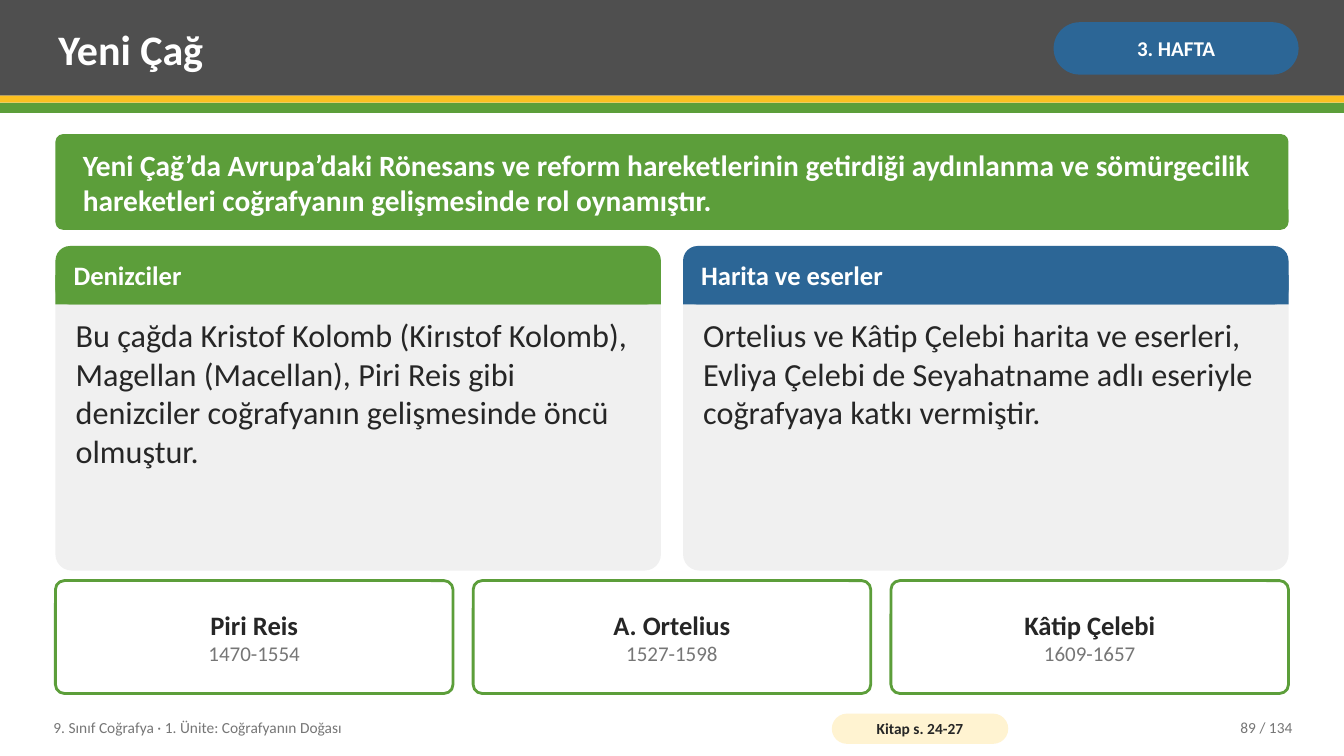
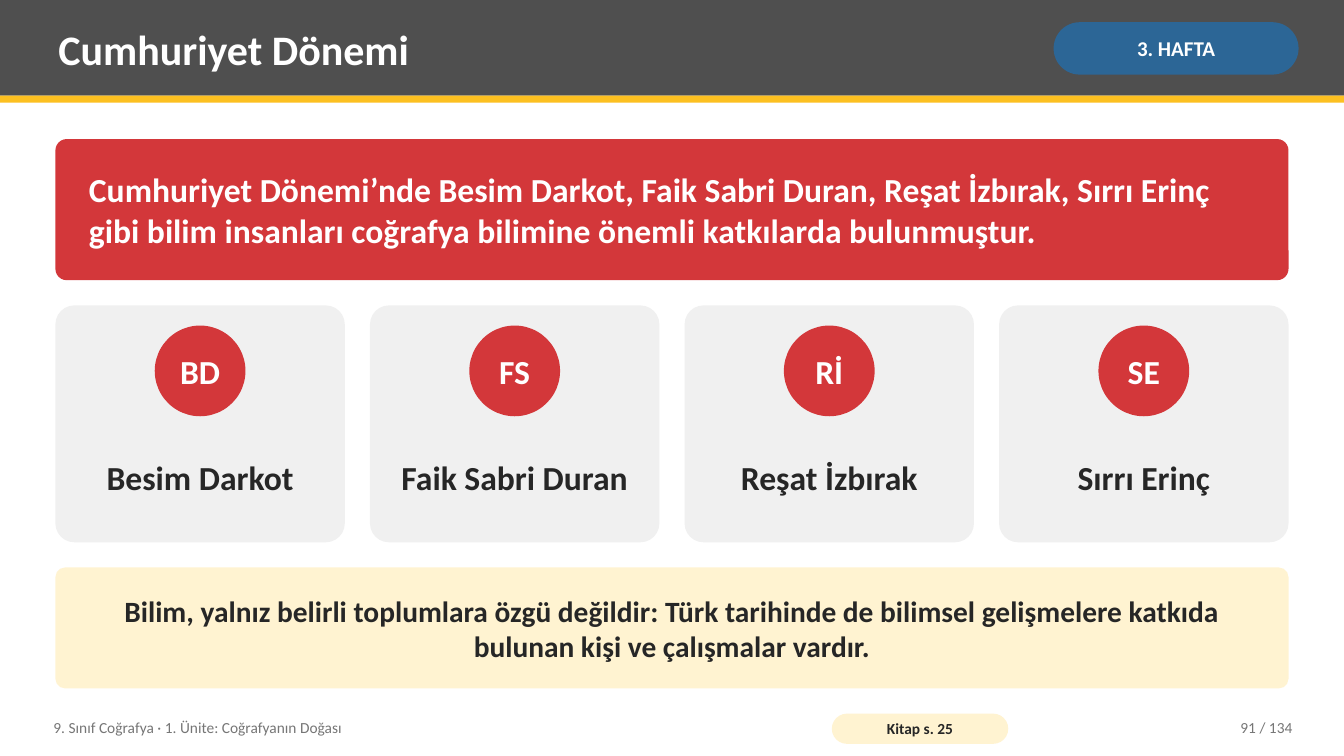
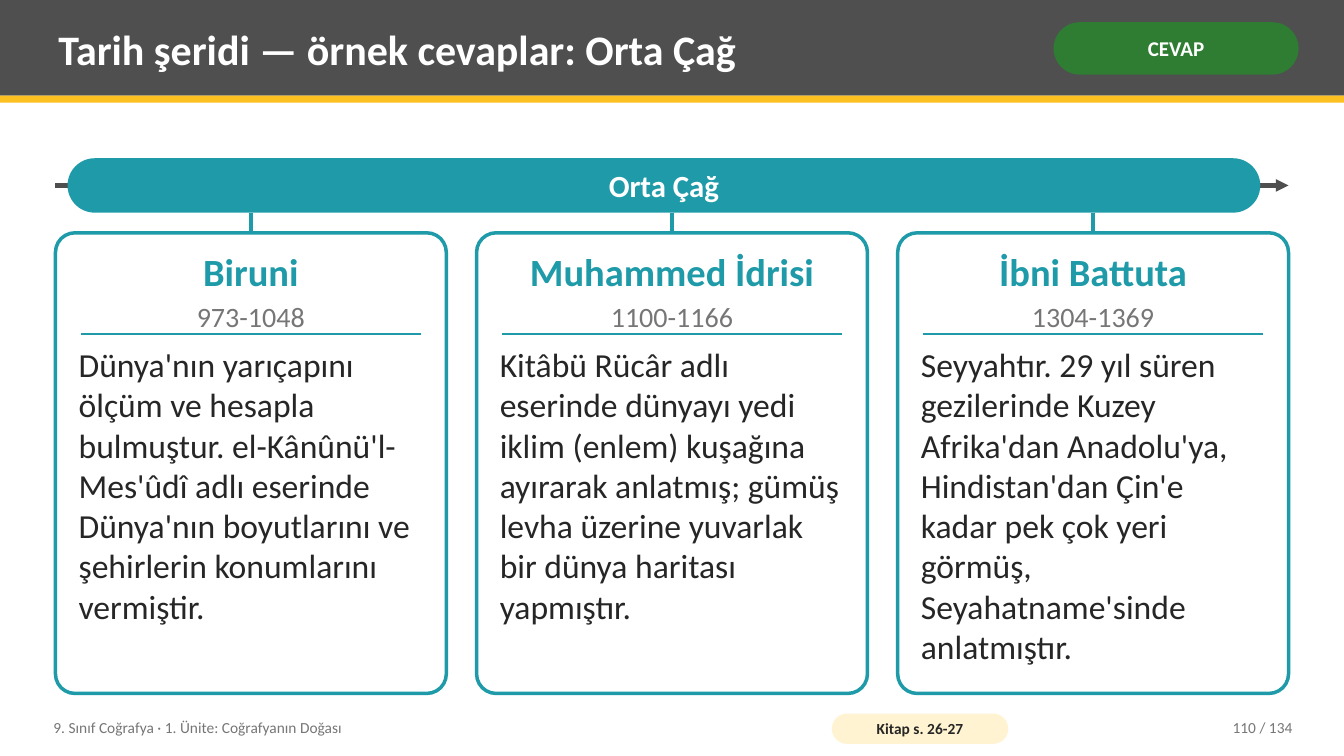
from lxml import etree
from pptx import Presentation
from pptx.dml.color import RGBColor
from pptx.enum.shapes import MSO_CONNECTOR, MSO_SHAPE
from pptx.enum.text import MSO_ANCHOR, MSO_AUTO_SIZE, PP_ALIGN
from pptx.oxml.ns import qn
from pptx.util import Inches, Pt

RECT, ROUND, OVAL = MSO_SHAPE.RECTANGLE, MSO_SHAPE.ROUNDED_RECTANGLE, MSO_SHAPE.OVAL
STRAIGHT = MSO_CONNECTOR.STRAIGHT
LEFT, CENTER, RIGHT = PP_ALIGN.LEFT, PP_ALIGN.CENTER, PP_ALIGN.RIGHT
TOP, MIDDLE = MSO_ANCHOR.TOP, MSO_ANCHOR.MIDDLE
NO_FIT = MSO_AUTO_SIZE.NONE

FONT = "Calibri"
WHITE, INK, MUTED, PALE = "FFFFFF", "262626", "767676", "F0F0F0"
CHARCOAL, YELLOW, CREAM = "4F4F4F", "FCC021", "FFF3D1"
GREEN, BLUE, RED, TEAL, ANSWER_GREEN = "5C9E3A", "2C6696", "D3373A", "1E9AA8", "2E7D32"

PAGE_WIDTH, PAGE_HEIGHT = 13.33, 7.5
MARGIN, CONTENT_WIDTH = 0.55, 12.23
LABEL_INSET = (0.08, 0.04)
PANEL_INSET = (0.14, 0.08)
UNIT = "9. Sınıf Coğrafya · 1. Ünite: Coğrafyanın Doğası"
PAGE_COUNT = 134


def color(value):
    """Turn a hex string into a colour."""
    return RGBColor.from_string(value)


def columns(count, gap):
    """Return the left edges and the common width of equal columns."""
    width = (CONTENT_WIDTH - gap * (count - 1)) / count
    return [MARGIN + index * (width + gap) for index in range(count)], width


def write(shape, lines, align=LEFT, anchor=MIDDLE, inset=LABEL_INSET, wrap=True):
    """Write (text, size, colour, bold) lines into a shape, one paragraph each."""
    frame = shape.text_frame
    frame.text = "\n".join(line[0] for line in lines)
    frame.auto_size = NO_FIT
    frame.word_wrap = wrap
    frame.vertical_anchor = anchor
    frame.margin_left = frame.margin_right = Inches(inset[0])
    frame.margin_top = frame.margin_bottom = Inches(inset[1])
    for para, (_, size, ink, bold) in zip(frame.paragraphs, lines):
        para.alignment = align
        for span in para.runs:
            span.font.name = FONT
            span.font.size = Pt(size)
            span.font.bold = bold
            span.font.color.rgb = color(ink)


def add_text(page, at, line, **layout):
    """Add a text box holding one paragraph."""
    box = page.shapes.add_textbox(*map(Inches, at))
    write(box, [line], **layout)


def add_block(page, kind, at, fill, corner=None, outline=None):
    """Add a filled shape with an optional corner ratio and (colour, width) outline."""
    shape = page.shapes.add_shape(kind, *map(Inches, at))
    shape.shadow.inherit = False
    shape.fill.solid()
    shape.fill.fore_color.rgb = color(fill)
    if corner is not None:
        shape.adjustments[0] = corner
    if outline:
        shape.line.color.rgb = color(outline[0])
        shape.line.width = Pt(outline[1])
    else:
        shape.line.fill.background()
    return shape


def add_line(page, start, end, ink, width, arrow=False):
    """Add a straight line, with an arrowhead at its end on request."""
    line = page.shapes.add_connector(STRAIGHT, *map(Inches, start + end))
    line.line.color.rgb = color(ink)
    line.line.width = Pt(width)
    properties = line.element.spPr
    if arrow:
        etree.SubElement(properties.find(qn("a:ln")), qn("a:tailEnd"), type="triangle")
    etree.SubElement(properties, qn("a:effectLst"))
    return line


def add_pill(page, at, fill, line, inset):
    """Add a fully rounded label with centred text."""
    pill = add_block(page, ROUND, at, fill, 0.5)
    write(pill, [line], CENTER, inset=inset)


def add_banner(page, top, height, fill, line, align=LEFT, inset=PANEL_INSET):
    """Add a full-width statement panel."""
    banner = add_block(page, ROUND, (MARGIN, top, CONTENT_WIDTH, height), fill, 0.08)
    write(banner, [line], align, inset=inset)


def add_page(deck, title, badge, badge_fill, book_pages, number):
    """Add a slide with the shared header bands, title, badge and footer."""
    page = deck.slides.add_slide(deck.slide_layouts[5])
    add_block(page, RECT, (0, 0, PAGE_WIDTH, 0.95), CHARCOAL)
    add_block(page, RECT, (0, 0.95, PAGE_WIDTH, 0.07), YELLOW)
    heading = page.shapes.title
    heading.left, heading.top, heading.width, heading.height = map(
        Inches, (0.5, 0.07, 9.75, 0.82))
    write(heading, [(title, 30, WHITE, True)])
    heading.element.getparent().append(heading.element)
    add_pill(page, (10.45, 0.22, 2.43, 0.52), badge_fill,
             (badge, 15, WHITE, True), (0.05, 0.02))
    add_text(page, (0.45, 7.04, 7.6, 0.36), (UNIT, 11, MUTED, False))
    add_pill(page, (8.25, 7.08, 1.75, 0.3), CREAM,
             (f"Kitap s. {book_pages}", 11, INK, True), (0.04, 0))
    add_text(page, (11.3, 7.04, 1.6, 0.36),
             (f"{number} / {PAGE_COUNT}", 11, MUTED, False), align=RIGHT)
    return page


def add_topic_card(page, left, width, fill, heading, body):
    """Add a pale card with a coloured heading strip."""
    top, strip = 2.44, 0.58
    add_block(page, ROUND, (left, top, width, 3.22), PALE, 0.05)
    add_block(page, ROUND, (left, top, width, strip), fill, 0.25)
    add_block(page, RECT, (left, top + strip / 2, width, strip / 2), fill)
    add_text(page, (left + 0.1, top, width - 0.2, strip), (heading, 19, WHITE, True))
    add_text(page, (left + 0.12, 3.09, width - 0.24, 2.48),
             (body, 23, INK, False), anchor=TOP)


def add_dates_card(page, left, width, name, years):
    """Add an outlined card with a name and its years."""
    card = add_block(page, ROUND, (left, 5.76, width, 1.12), WHITE, 0.08, (GREEN, 2))
    write(card, [(name, 19, INK, True), (years, 15, MUTED, False)],
          CENTER, inset=PANEL_INSET)


def add_person_card(page, left, width, initials, name):
    """Add a pale card with an initials disc above a name."""
    top, disc_size = 3.03, 0.9
    add_block(page, ROUND, (left, top, width, 2.35), PALE, 0.08)
    disc = add_block(page, OVAL, (left + (width - disc_size) / 2, top + 0.2,
                                  disc_size, disc_size), RED)
    write(disc, [(initials, 24, WHITE, True)], CENTER, inset=(0, 0), wrap=False)
    add_text(page, (left + 0.1, top + 1.25, width - 0.2, 0.9),
             (name, 24, INK, True), align=CENTER)


def add_timeline_card(page, left, width, name, years, body):
    """Add an outlined card hung from the timeline bar."""
    top, middle = 2.31, left + width / 2
    card = add_block(page, ROUND, (left, top, width, 4.57), WHITE, 0.05, (TEAL, 2.5))
    stem = add_line(page, (middle, 2.11), (middle, top), TEAL, 2.5)
    stem.end_connect(card, 0)
    add_text(page, (left + 0.1, top + 0.1, width - 0.2, 0.55),
             (name, 27.5, TEAL, True), align=CENTER, inset=(0.08, 0))
    add_text(page, (left + 0.1, top + 0.65, width - 0.2, 0.36),
             (years, 20, MUTED, False), align=CENTER, inset=(0.08, 0))
    add_line(page, (left + 0.25, top + 1), (left + width - 0.25, top + 1), TEAL, 1.5)
    add_text(page, (left + 0.15, top + 1.08, width - 0.3, 3.39),
             (body, 24, INK, False), anchor=TOP, inset=(0.08, 0.02))


def add_row(page, add_card, gap, cards):
    """Lay out one card per entry in equal columns."""
    lefts, width = columns(len(cards), gap)
    for left, card in zip(lefts, cards):
        add_card(page, left, width, *card)


def build_new_age(deck):
    """Build the slide on the New Age."""
    page = add_page(deck, "Yeni Çağ", "3. HAFTA", BLUE, "24-27", 89)
    add_block(page, RECT, (0, 1.02, PAGE_WIDTH, 0.1), GREEN)
    statement = ("Yeni Çağ’da Avrupa’daki Rönesans ve reform hareketlerinin getirdiği "
                 "aydınlanma ve sömürgecilik hareketleri coğrafyanın gelişmesinde rol oynamıştır.")
    add_banner(page, 1.33, 0.95, GREEN, (statement, 21, WHITE, True), inset=(0.25, 0.08))
    add_row(page, add_topic_card, 0.22, [
        (GREEN, "Denizciler",
         "Bu çağda Kristof Kolomb (Kirıstof Kolomb), Magellan (Macellan), Piri Reis gibi "
         "denizciler coğrafyanın gelişmesinde öncü olmuştur."),
        (BLUE, "Harita ve eserler",
         "Ortelius ve Kâtip Çelebi harita ve eserleri, Evliya Çelebi de Seyahatname adlı "
         "eseriyle coğrafyaya katkı vermiştir."),
    ])
    add_row(page, add_dates_card, 0.2, [
        ("Piri Reis", "1470-1554"),
        ("A. Ortelius", "1527-1598"),
        ("Kâtip Çelebi", "1609-1657"),
    ])


def build_republic(deck):
    """Build the slide on the Republican period."""
    page = add_page(deck, "Cumhuriyet Dönemi", "3. HAFTA", BLUE, "25", 91)
    statement = ("Cumhuriyet Dönemi’nde Besim Darkot, Faik Sabri Duran, Reşat İzbırak, Sırrı "
                 "Erinç gibi bilim insanları coğrafya bilimine önemli katkılarda bulunmuştur.")
    add_banner(page, 1.38, 1.4, RED, (statement, 24, WHITE, True), inset=(0.3, 0.08))
    add_row(page, add_person_card, 0.25, [
        ("BD", "Besim Darkot"),
        ("FS", "Faik Sabri Duran"),
        ("Rİ", "Reşat İzbırak"),
        ("SE", "Sırrı Erinç"),
    ])
    conclusion = ("Bilim, yalnız belirli toplumlara özgü değildir: Türk tarihinde de bilimsel "
                  "gelişmelere katkıda bulunan kişi ve çalışmalar vardır.")
    add_banner(page, 5.63, 1.2, CREAM, (conclusion, 21, INK, True), CENTER)


def build_timeline(deck):
    """Build the slide with the Middle Age timeline."""
    page = add_page(deck, "Tarih şeridi — örnek cevaplar: Orta Çağ", "CEVAP",
                    ANSWER_GREEN, "26-27", 110)
    add_line(page, (MARGIN, 1.84), (MARGIN + CONTENT_WIDTH, 1.84), CHARCOAL, 3, arrow=True)
    add_pill(page, (0.67, 1.57, 11.83, 0.54), TEAL,
             ("Orta Çağ", 22, WHITE, True), (0.14, 0))
    add_row(page, add_timeline_card, 0.3, [
        ("Biruni", "973-1048",
         "Dünya'nın yarıçapını ölçüm ve hesapla bulmuştur. el-Kânûnü'l-Mes'ûdî adlı eserinde "
         "Dünya'nın boyutlarını ve şehirlerin konumlarını vermiştir."),
        ("Muhammed İdrisi", "1100-1166",
         "Kitâbü Rücâr adlı eserinde dünyayı yedi iklim (enlem) kuşağına ayırarak anlatmış; "
         "gümüş levha üzerine yuvarlak bir dünya haritası yapmıştır."),
        ("İbni Battuta", "1304-1369",
         "Seyyahtır. 29 yıl süren gezilerinde Kuzey Afrika'dan Anadolu'ya, Hindistan'dan "
         "Çin'e kadar pek çok yeri görmüş, Seyahatname'sinde anlatmıştır."),
    ])


def main():
    """Build and save the deck."""
    deck = Presentation()
    deck.slide_width, deck.slide_height = Inches(PAGE_WIDTH), Inches(PAGE_HEIGHT)
    build_new_age(deck)
    build_republic(deck)
    build_timeline(deck)
    deck.save("out.pptx")


if __name__ == "__main__":
    main()
